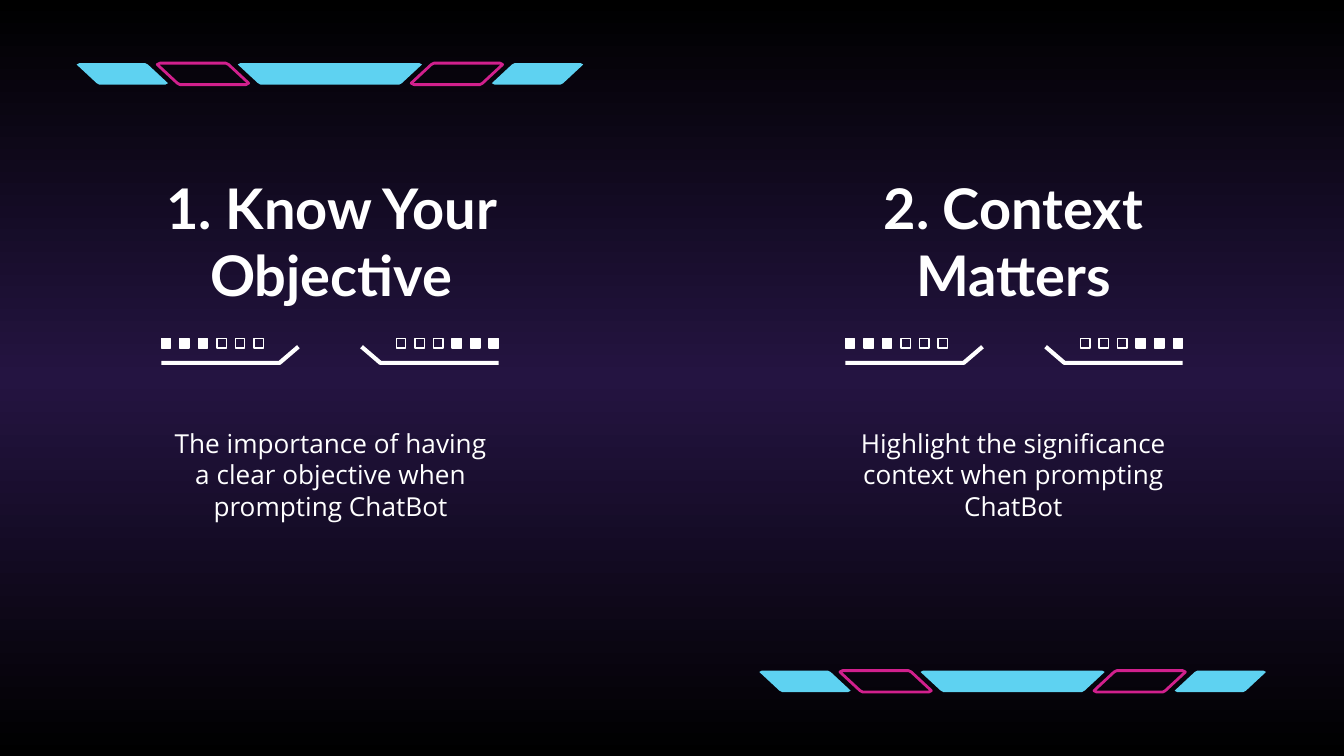
import copy

import pptx
import pptx.dml.color
import pptx.enum.shapes
import pptx.enum.text
import pptx.oxml.ns
import pptx.util
from pptx.util import Inches

BAR_HEIGHT = 0.16
BAR_OVERLAP = 0.08
BARS = [
    (0.68, "down", "down", True),
    (0.68, "down", "down", False),
    (1.37, "down", "up", True),
    (0.68, "up", "up", False),
    (0.68, "up", "up", True),
]
RULE_WIDTH = 2.51
SQUARE_SIZE = 0.07
SQUARE_COUNT = 6


def color(value):
    return pptx.dml.color.RGBColor.from_string(value)


def write(shape, text, *, font, size, bold=False, ink="FFFFFF", anchor="TOP"):
    frame = shape.text_frame
    frame.word_wrap = True
    frame.auto_size = pptx.enum.text.MSO_AUTO_SIZE.NONE
    frame.vertical_anchor = getattr(pptx.enum.text.MSO_ANCHOR, anchor)
    frame.margin_left = frame.margin_right = Inches(0.1)
    frame.margin_top = frame.margin_bottom = Inches(0.1)
    para = frame.paragraphs[0]
    para.alignment = pptx.enum.text.PP_ALIGN.CENTER
    span = para.add_run()
    span.text = text
    span.font.name = font
    span.font.size = pptx.util.Pt(size)
    span.font.bold = bold
    span.font.color.rgb = color(ink)


def bar_edge(lean):
    points = [(0.02, 0), (0, 0.01), (0.01, 0.02), (0.15, 0.15), (0.17, 0.16)]
    if lean == "up":
        points = [(x, BAR_HEIGHT - y) for x, y in reversed(points)]
    return points


class Painter:
    white = "FFFFFF"
    cyan = "5ED2F1"
    pink = "D1208D"
    heading = {"font": "Lato", "size": 30, "bold": True}
    body = {"font": "Open Sans", "size": 14, "anchor": "MIDDLE"}

    def __init__(self, page):
        self.page = page

    def background(self, edge, middle):
        fill = self.page.background.fill
        fill.gradient()
        fill.gradient_angle = 90
        stops = self.page.element.find(".//" + pptx.oxml.ns.qn("a:gsLst"))
        stops.insert(1, copy.deepcopy(stops[0]))
        for stop, place, tone in zip(fill.gradient_stops, (0, 0.5, 1), (edge, middle, edge)):
            stop.position = place
            stop.color.rgb = color(tone)

    def paint(self, shape, fill=None, line=None, width=1):
        shape.shadow.inherit = False
        if fill:
            shape.fill.solid()
            shape.fill.fore_color.rgb = color(fill)
        else:
            shape.fill.background()
        if line:
            shape.line.color.rgb = color(line)
            shape.line.width = pptx.util.Pt(width)
        else:
            shape.line.fill.background()

    def outline(self, points, close, **look):
        start, *rest = [(Inches(x), Inches(y)) for x, y in points]
        builder = self.page.shapes.build_freeform(*start)
        builder.add_line_segments(rest, close=close)
        self.paint(builder.convert_to_shape(), **look)

    def band(self, left, top):
        for width, left_lean, right_lean, solid in BARS:
            points = bar_edge(left_lean)
            points += [(width - x, BAR_HEIGHT - y) for x, y in bar_edge(right_lean)]
            points = [(left + x, top + y) for x, y in points]
            if solid:
                self.outline(points, True, fill=self.cyan)
            else:
                self.outline(points, True, line=self.pink, width=1.5)
            left += width - BAR_OVERLAP

    def square(self, left, top, solid):
        kind = pptx.enum.shapes.MSO_SHAPE.RECTANGLE
        size = Inches(SQUARE_SIZE)
        box = self.page.shapes.add_shape(kind, Inches(left), Inches(top), size, size)
        self.paint(box, fill=self.white if solid else None, line=self.white, width=0.75)

    def divider(self, left, top):
        for start, side in ((left, 1), (left + RULE_WIDTH, -1)):
            points = [(1.02, 0.06), (0.88, 0.18), (0, 0.18)]
            points = [(start + side * x, top + y) for x, y in points]
            self.outline(points, False, line=self.white, width=2.25)
            for index in range(SQUARE_COUNT):
                center = start + side * (SQUARE_SIZE / 2 + index * 0.69 / 5)
                self.square(center - SQUARE_SIZE / 2, top, index < SQUARE_COUNT / 2)

    def title(self, text, left, top, width, height):
        box = self.page.shapes.title
        box.left, box.top = Inches(left), Inches(top)
        box.width, box.height = Inches(width), Inches(height)
        write(box, text, **self.heading)

    def text(self, text, left, top, width, height, style):
        box = self.page.shapes.add_textbox(
            Inches(left), Inches(top), Inches(width), Inches(height)
        )
        write(box, text, **style)


def main():
    deck = pptx.Presentation()
    deck.slide_width = Inches(10)
    deck.slide_height = deck.slide_width * 9 // 16
    page = deck.slides.add_slide(deck.slide_layouts.get_by_name("Title Only"))
    painter = Painter(page)
    painter.background("000000", "241441")
    painter.band(0.57, 0.47)
    painter.band(5.65, 4.99)

    painter.title("1. Know Your Objective", 0.77, 1.19, 3.39, 1.23)
    painter.text("2. Context Matters", 5.85, 1.19, 3.38, 1.08, painter.heading)

    columns = [
        (1.2, 1.19, "The importance of having a clear objective when prompting ChatBot"),
        (6.29, 6.27, "Highlight the significance context when prompting ChatBot"),
    ]
    for divider_left, text_left, message in columns:
        painter.text(message, text_left, 3.03, 2.54, 1, painter.body)
        painter.divider(divider_left, 2.52)

    deck.save("out.pptx")


if __name__ == "__main__":
    main()
